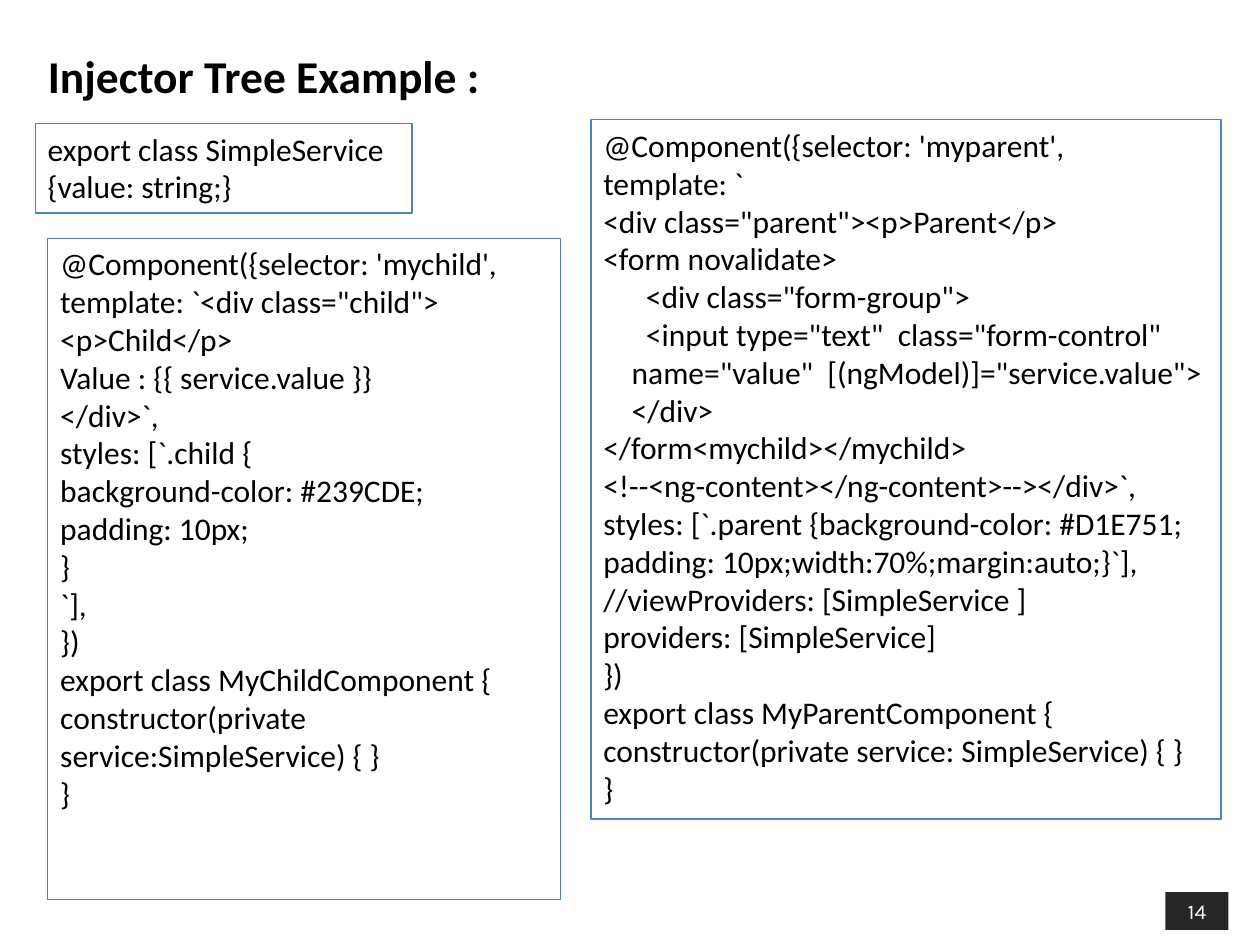
from dataclasses import dataclass

from pptx import Presentation
from pptx import util as u
from pptx.dml.color import RGBColor
from pptx.enum import shapes, text

BLACK, WHITE, DARK, BLUE = "000000", "FFFFFF", "262626", "4F81BD"

SERVICE_CODE = "export class SimpleService {value: string;}"

PARENT_CODE = """\
@Component({selector: 'myparent',
template: `
<div class="parent"><p>Parent</p>
<form novalidate>
      <div class="form-group">
      <input type="text"  class="form-control"
    name="value"  [(ngModel)]="service.value">
    </div>
</form<mychild></mychild>
<!--<ng-content></ng-content>--></div>`,
styles: [`.parent {background-color: #D1E751;
padding: 10px;width:70%;margin:auto;}`],
//viewProviders: [SimpleService ]
providers: [SimpleService]
})
export class MyParentComponent {
constructor(private service: SimpleService) { }
}"""

CHILD_CODE = """\
@Component({selector: 'mychild',
template: `<div class="child">
<p>Child</p>
Value : {{ service.value }}
</div>`,
styles: [`.child {
background-color: #239CDE;
padding: 10px;
}
`],
})
export class MyChildComponent {
constructor(private service:SimpleService) { }
}"""


@dataclass
class Box:
    left: float
    top: float
    width: float
    height: float

    def lengths(self) -> list:
        return [u.Inches(v) for v in (self.left, self.top, self.width, self.height)]


@dataclass
class CodePanel:
    box: Box
    code: str


def color(hex_code: str) -> RGBColor:
    return RGBColor.from_string(hex_code)


def write(shape, content: str, *, size=18, font="Calibri", ink=BLACK, bold=False,
          align=text.PP_ALIGN.LEFT, anchor=text.MSO_ANCHOR.TOP) -> None:
    """Fill a shape with one paragraph per line of content."""
    frame = shape.text_frame
    frame.word_wrap = True
    frame.auto_size = text.MSO_AUTO_SIZE.NONE
    frame.vertical_anchor = anchor
    frame.text = content
    for paragraph in frame.paragraphs:
        paragraph.alignment = align
        for run in paragraph.runs:
            run.font.name, run.font.size, run.font.bold = font, u.Pt(size), bold
            run.font.color.rgb = color(ink)


def add_rect(slide, box: Box, *, fill=None, line=None):
    rect = slide.shapes.add_shape(shapes.MSO_SHAPE.RECTANGLE, *box.lengths())
    rect.shadow.inherit = False
    if fill:
        rect.fill.solid()
        rect.fill.fore_color.rgb = color(fill)
    else:
        rect.fill.background()
    if line:
        rect.line.color.rgb = color(line)
        rect.line.width = u.Pt(0.75)
    else:
        rect.line.fill.background()
    return rect


def add_code_panel(slide, panel: CodePanel) -> None:
    write(add_rect(slide, panel.box, line=BLUE), panel.code)


def main() -> None:
    prs = Presentation()
    prs.slide_width, prs.slide_height = u.Inches(10), u.Inches(7.5)
    slide = prs.slides.add_slide(prs.slide_layouts[5])

    # Page number
    page_number = add_rect(slide, Box(9.25, 7.08, 0.5, 0.3), fill=DARK)
    write(page_number, "14", size=12, font="Karla", ink=WHITE,
          align=text.PP_ALIGN.CENTER, anchor=text.MSO_ANCHOR.MIDDLE)

    # Title
    title = slide.shapes.title
    title.left, title.top, title.width, title.height = Box(0.28, 0.21, 7.94, 0.77).lengths()
    write(title, "Injector Tree Example :", size=26, bold=True,
          anchor=text.MSO_ANCHOR.MIDDLE)

    # Service, parent and child code
    for panel in (
        CodePanel(Box(0.28, 0.98, 2.99, 0.71), SERVICE_CODE),
        CodePanel(Box(4.69, 0.95, 5, 5.55), PARENT_CODE),
        CodePanel(Box(0.38, 1.89, 4.07, 5.25), CHILD_CODE),
    ):
        add_code_panel(slide, panel)

    prs.save("out.pptx")


if __name__ == "__main__":
    main()
